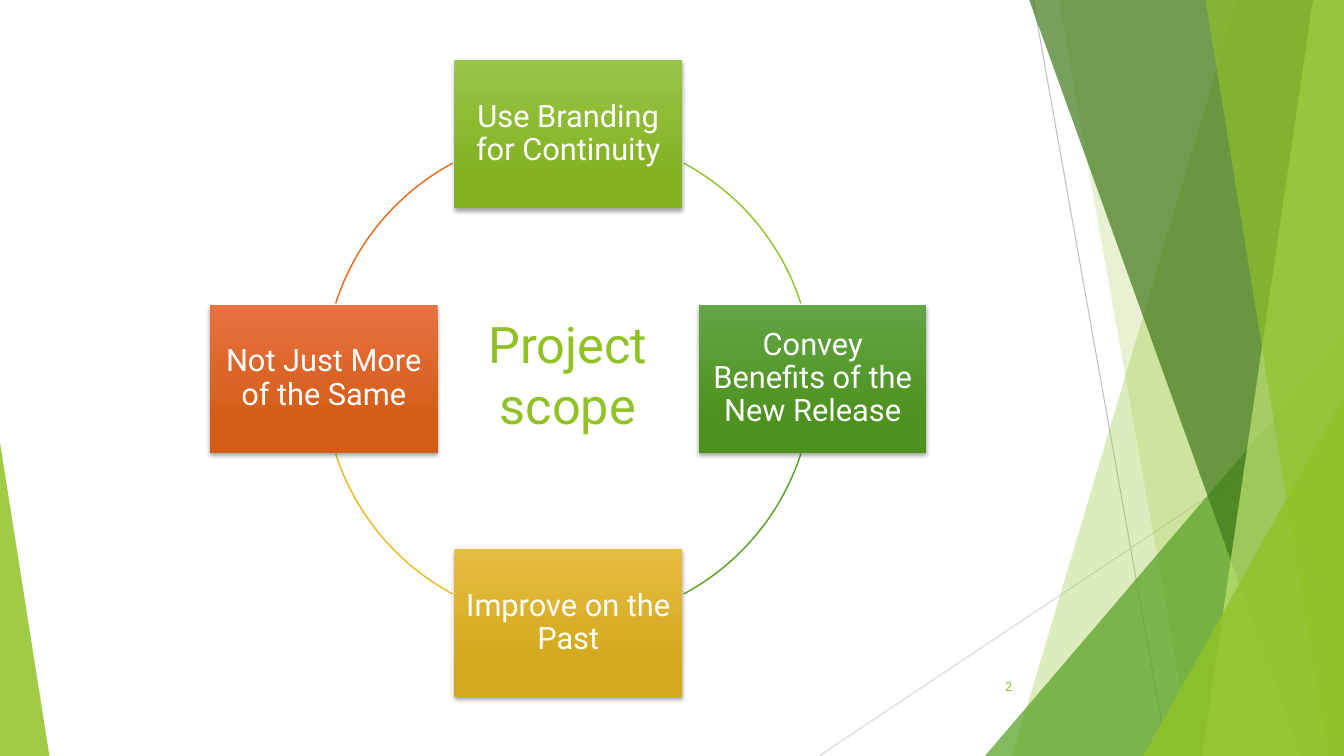
from pptx import Presentation
from pptx.dml.color import RGBColor as RGB
from pptx.enum.shapes import MSO_CONNECTOR as Link, MSO_SHAPE as Form
from pptx.enum.text import MSO_ANCHOR as Anchor, MSO_AUTO_SIZE as Fit, PP_ALIGN as Align
from pptx.oxml.ns import qn
from pptx.util import Pt
from lxml.etree import SubElement as Sub

WIDE, HIGH = 960, 540
FONT = "Roboto"
WHITE = RGB(0xFF, 0xFF, 0xFF)
BLACK = RGB(0, 0, 0)
GRAY = RGB(0xBF, 0xBF, 0xBF)
PALE = RGB(0xD9, 0xD9, 0xD9)
LIME = RGB(0x90, 0xC2, 0x26)
MINT = RGB(0xC0, 0xE4, 0x74)
GREEN = RGB(0x54, 0xA0, 0x21)
DEEP = RGB(0x3F, 0x78, 0x19)
GOLD = RGB(0xE6, 0xB9, 0x1E)
RUST = RGB(0xE7, 0x66, 0x18)

# Clockwise from the top: text, upper shade, lower shade, direction from the center
CARDS = [
    ("Use Branding for Continuity", RGB(0x97, 0xC5, 0x47), RGB(0x84, 0xB2, 0x23), (0, -1)),
    ("Convey Benefits of the New Release", RGB(0x63, 0xA5, 0x45), RGB(0x4D, 0x92, 0x1E), (1, 0)),
    ("Improve on the Past", RGB(0xE7, 0xBC, 0x43), RGB(0xD2, 0xA9, 0x1B), (0, 1)),
    ("Not Just More of the Same", RGB(0xE8, 0x72, 0x42), RGB(0xD3, 0x5D, 0x16), (-1, 0)),
]
# Clockwise from the top right: color, start and end angle
ARCS = [(LIME, 298.2, 342.1), (GREEN, 17.9, 61.8), (GOLD, 118.2, 162.1), (RUST, 197.9, 241.8)]


def tint(shape, color, alpha):
    """Fill a shape with a see-through color; alpha is in percent."""
    shape.shadow.inherit = False
    shape.fill.solid()
    shape.fill.fore_color.rgb = color
    shape.line.fill.background()
    tone = shape.element.spPr.find(qn("a:solidFill"))[0]
    Sub(tone, qn("a:alpha"), val=str(alpha * 1000))


def shade(shape):
    """Drop a soft shadow straight down."""
    shape.shadow.inherit = False
    glow = Sub(shape.element.spPr.find(qn("a:effectLst")), qn("a:outerShdw"),
               blurRad=str(Pt(3)), dist=str(Pt(2)), dir="5400000",
               algn="ctr", rotWithShape="0")
    tone = Sub(glow, qn("a:srgbClr"), val=str(BLACK))
    Sub(tone, qn("a:alpha"), val="35000")


def write(frame, text, size, color, align, anchor):
    frame.word_wrap = True
    frame.auto_size = Fit.NONE
    frame.vertical_anchor = anchor
    para = frame.paragraphs[0]
    para.alignment = align
    run = para.add_run()
    run.text = text
    run.font.name = FONT
    run.font.size = Pt(size)
    run.font.color.rgb = color
    return para


def ray(slide, start, end, color):
    line = slide.shapes.add_connector(Link.STRAIGHT, *map(Pt, start + end))
    line.line.color.rgb = color
    line.line.width = Pt(0.75)
    Sub(line.element.spPr, qn("a:effectLst"))


def shard(slide, top, right, foot, left, color, alpha):
    """Draw a slanted band from the top edge to the foot of the slide."""
    spots = [(right, -0.6), (right, HIGH), (foot, HIGH)]
    pen = slide.shapes.build_freeform(Pt(top), Pt(-0.6))
    pen.add_line_segments([(Pt(x), Pt(y)) for x, y in spots], close=True)
    tint(pen.convert_to_shape(Pt(left), 0), color, alpha)


def wedge(slide, left, right, top, tip, color, alpha):
    """Draw a right triangle on the foot of the slide; tip 0 is left, 1 is right."""
    box = (left, top, right - left, HIGH - top)
    shape = slide.shapes.add_shape(Form.ISOSCELES_TRIANGLE, *map(Pt, box))
    shape.adjustments[0] = tip
    tint(shape, color, alpha)


def decor(slide, right):
    ray(slide, (738, 0), (834, HIGH), GRAY)
    ray(slide, (right, 290), (585, HIGH), PALE)
    shard(slide, 884, right, 723, 0, LIME, 30)
    shard(slide, 756, right, 852, 0, LIME, 20)
    wedge(slide, 703.5, right, 240, 1, GREEN, 72)
    shard(slide, 735, right, 929.5, 0, DEEP, 70)
    shard(slide, 938, right, 858.5, 0, MINT, 70)
    shard(slide, 861, right, 949, 0, LIME, 65)
    wedge(slide, 816.5, right, 283, 1, LIME, 80)
    wedge(slide, 0, 35.3, 316, 0, LIME, 85)


def card(slide, box, text, light, dark):
    shape = slide.shapes.add_shape(Form.RECTANGLE, *map(Pt, box))
    shape.fill.gradient()
    shape.fill.gradient_angle = 270
    for stop, color, place in zip(shape.fill.gradient_stops, (light, dark), (0, 0.78)):
        stop.color.rgb = color
        stop.position = place
    shape.line.fill.background()
    shade(shape)
    frame = shape.text_frame
    frame.margin_left = frame.margin_right = Pt(6.6)
    frame.margin_top = frame.margin_bottom = Pt(6.6)
    para = write(frame, text, 22, WHITE, Align.CENTER, Anchor.MIDDLE)
    para.line_spacing = 0.9


def cycle(slide, left, top, size):
    """Draw four arcs in a square box, with a card at each compass point."""
    rad = size / 2
    wide, high = 162.6, 105.7
    for color, start, end in ARCS:
        arc = slide.shapes.add_shape(Form.ARC, *map(Pt, (left, top, size, size)))
        # Arc angles are stored in 60000ths of a degree, adjustments in 100000ths
        arc.adjustments[0] = start * 0.6
        arc.adjustments[1] = end * 0.6
        arc.fill.background()
        arc.line.color.rgb = color
        arc.line.width = Pt(1)
        arc.shadow.inherit = False
    for text, light, dark, (dx, dy) in CARDS:
        x = left + rad * (1 + dx) - wide / 2
        y = top + rad * (1 + dy) - high / 2
        card(slide, (x, y, wide, high), text, light, dark)


def head(slide, left, top, wide, high, text):
    title = slide.shapes.title
    title.left, title.top, title.width, title.height = map(Pt, (left, top, wide, high))
    write(title.text_frame, text, 36, LIME, Align.CENTER, Anchor.TOP)


def folio(slide, left, top, wide, high, text):
    box = slide.shapes.add_textbox(*map(Pt, (left, top, wide, high)))
    write(box.text_frame, text, 9, LIME, Align.RIGHT, Anchor.MIDDLE)


def main():
    deck = Presentation()
    deck.slide_width, deck.slide_height = Pt(WIDE), Pt(HIGH)
    slide = deck.slides.add_slide(deck.slide_layouts[5])
    decor(slide, WIDE)
    cycle(slide, 231.3, 95.8, 349.2)
    folio(slide, 676, 476, 54, 28.8, "2")
    head(slide, 303, 220.3, 205.2, 108, "Project scope")
    deck.save("out.pptx")


if __name__ == "__main__":
    main()
